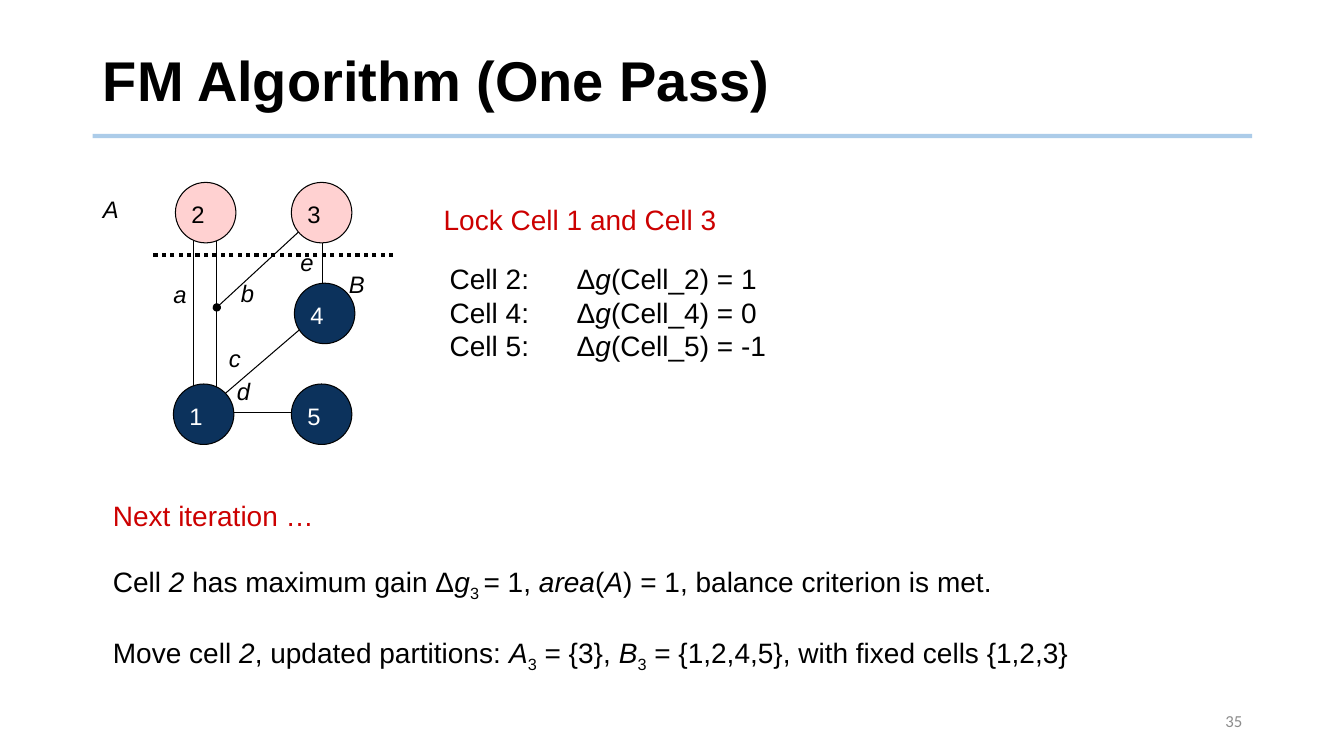
import pptx
import pptx.dml.color
import pptx.enum.dml
import pptx.enum.shapes
import pptx.enum.text
import pptx.oxml
import pptx.oxml.ns
import pptx.util
from dataclasses import dataclass

Inches = pptx.util.Inches
Pt = pptx.util.Pt
Align = pptx.enum.text.PP_ALIGN
Anchor = pptx.enum.text.MSO_ANCHOR
Dash = pptx.enum.dml.MSO_LINE


@dataclass(frozen=True)
class Theme:
    font: str = "Arial"
    number_font: str = "Calibri"
    black: str = "000000"
    white: str = "FFFFFF"
    red: str = "CC0000"
    grey: str = "8C8C8C"
    rule: str = "5B9BD5"
    pink: str = "FFD1D1"
    navy: str = "0C325C"
    title_size: int = 40
    body_size: int = 20
    cell_size: int = 17
    number_size: int = 12


THEME = Theme()
BODY_INSETS = (0.21, 0.05, 0.1, 0.07)
LABEL_INSETS = (0.11, 0.05, 0.11, 0.05)


def rgb(color):
    return pptx.dml.color.RGBColor.from_string(color)


def add_element(parent, tag, **attributes):
    element = pptx.oxml.parse_xml(f"<a:{tag} {pptx.oxml.ns.nsdecls('a')}/>")
    for name, value in attributes.items():
        element.set(name, value)
    parent.append(element)
    return element


def style_font(font, size, color, name=THEME.font, italic=False):
    font.size = Pt(size)
    font.name = name
    font.color.rgb = rgb(color)
    font.italic = italic


def set_frame(frame, insets, anchor):
    frame.word_wrap = True
    frame.vertical_anchor = anchor
    frame.margin_left, frame.margin_top, frame.margin_right, frame.margin_bottom = map(Inches, insets)


def add_text_box(page, box, insets=BODY_INSETS, anchor=Anchor.TOP):
    frame = page.shapes.add_textbox(*map(Inches, box)).text_frame
    set_frame(frame, insets, anchor)
    return frame


def write_spans(para, spans, color=THEME.black):
    for text, style in spans:
        span = para.add_run()
        span.text = text
        style_font(span.font, THEME.body_size, color, italic=style == "italic")
        if style == "sub":
            span.font._element.set("baseline", "-25000")


def add_line(page, start, end, color=THEME.black, width=0.75, dash=None, head=None, alpha=None):
    line = page.shapes.add_connector(
        pptx.enum.shapes.MSO_CONNECTOR.STRAIGHT, *map(Inches, (*start, *end)))
    line.line.width = Pt(width)
    line.line.color.rgb = rgb(color)
    if dash:
        line.line.dash_style = dash
    outline = line.line._ln
    if alpha:
        add_element(outline.find(".//" + pptx.oxml.ns.qn("a:srgbClr")), "alpha", val=alpha)
    if head:
        add_element(outline, "headEnd", type=head)
    add_element(line._element.spPr, "effectLst")


def add_heading(page, box):
    left, top, width, height = box
    title = page.shapes.title
    title.left, title.top, title.width, title.height = map(Inches, box)
    frame = title.text_frame
    frame.text = "FM Algorithm (One Pass)"
    set_frame(frame, (0.1, 0.05, 0.1, 0.05), Anchor.MIDDLE)
    para = frame.paragraphs[0]
    para.alignment = Align.LEFT
    para.line_spacing = 0.9
    style_font(para.runs[0].font, THEME.title_size, THEME.black)
    para.runs[0].font.bold = True
    rule_y = top + height - 0.03
    add_line(page, (left, rule_y), (left + width, rule_y), THEME.rule, 3, alpha="50000")


def add_cell(page, left, top, name, fill, color):
    cell = page.shapes.add_shape(
        pptx.enum.shapes.MSO_SHAPE.OVAL, *map(Inches, (left, top, 0.6, 0.6)))
    cell.shadow.inherit = False
    cell.fill.solid()
    cell.fill.fore_color.rgb = rgb(fill)
    cell.line.color.rgb = rgb(THEME.black)
    cell.line.width = Pt(0.75)
    frame = cell.text_frame
    frame.text = name
    set_frame(frame, (0.07, 0.03, 0, 0), Anchor.MIDDLE)
    frame.paragraphs[0].alignment = Align.LEFT
    style_font(frame.paragraphs[0].runs[0].font, THEME.cell_size, color)


def add_netlist(page, box):
    left, top, width, height = box

    def place(x, y):
        return left + x, top + y

    nets = [
        ((1.25, 1.25), (2.29, 0.29), "oval"),
        ((1.25, 0.45), (1.25, 2.29), None),
        ((2.3, 0.25), (2.3, 1.25), None),
        ((1.02, 0.29), (1.02, 2.13), None),
        ((2.27, 1.3), (1.21, 2.21), None),
        ((1.19, 2.29), (2.39, 2.29), None),
    ]
    for start, end, head in nets:
        add_line(page, place(*start), place(*end), head=head)

    side_a = (THEME.pink, THEME.black)
    side_b = (THEME.navy, THEME.white)
    cells = [
        ("1", 0.82, 2.01, side_b),
        ("2", 0.84, 0.01, side_a),
        ("3", 1.99, 0.01, side_a),
        ("4", 2.02, 1.01, side_b),
        ("5", 1.99, 2.01, side_b),
    ]
    for name, x, y, colors in cells:
        add_cell(page, *place(x, y), name, *colors)

    labels = [
        ("A", 0.01, 0.08), ("B", 2.45, 0.83), ("a", 0.71, 0.93), ("b", 1.38, 0.92),
        ("c", 1.26, 1.56), ("d", 1.34, 1.89), ("e", 1.97, 0.61),
    ]
    for name, x, y in labels:
        frame = add_text_box(page, (*place(x, y), 0.5, 0.4), LABEL_INSETS)
        frame.text = name
        style_font(frame.paragraphs[0].runs[0].font, THEME.cell_size, THEME.black, italic=True)

    add_line(page, place(width, 0.73), place(0.61, 0.73), width=3, dash=Dash.ROUND_DOT)


def add_gains(page, box):
    left, top, width, height = box
    frame = add_text_box(page, (left, top, width, 0.46))
    write_spans(frame.paragraphs[0], [("Lock Cell 1 and Cell 3", "")], THEME.red)

    frame = add_text_box(page, (left + 0.06, top + 0.58, width, height - 0.58), anchor=Anchor.MIDDLE)
    for index, (cell, gain) in enumerate([(2, 1), (4, 0), (5, -1)]):
        para = frame.add_paragraph() if index else frame.paragraphs[0]
        tabs = add_element(para._p.get_or_add_pPr(), "tabLst")
        add_element(tabs, "tab", pos=str(Inches(1.26)), algn="l")
        write_spans(para, [(f"Cell {cell}:\tΔ", ""), ("g", "italic"), (f"(Cell_{cell}) = {gain}", "")])


def add_iteration(page, box):
    lines = [
        (THEME.red, [("Next iteration …", "")]),
        (THEME.black, [
            ("Cell ", ""), ("2", "italic"), (" has maximum gain Δ", ""), ("g", "italic"),
            ("3 ", "sub"), ("= 1, ", ""), ("area", "italic"), ("(", ""), ("A", "italic"),
            (") = 1, balance criterion is met.", "")]),
        (THEME.black, [
            ("Move cell ", ""), ("2", "italic"), (", updated partitions: ", ""),
            ("A", "italic"), ("3", "sub"), (" = {3}, ", ""), ("B", "italic"), ("3", "sub"),
            (" = {1,2,4,5}, with fixed cells {1,2,3}", "")]),
    ]
    frame = add_text_box(page, box, anchor=Anchor.MIDDLE)
    for index, (color, spans) in enumerate(lines):
        para = frame.add_paragraph() if index else frame.paragraphs[0]
        if index:
            para.space_before = Pt(23)
        write_spans(para, spans, color)


def add_page_number(page, box):
    frame = add_text_box(page, box, (0.1, 0.05, 0.1, 0.05), Anchor.MIDDLE)
    frame.text = "35"
    para = frame.paragraphs[0]
    para.alignment = Align.RIGHT
    style_font(para.runs[0].font, THEME.number_size, THEME.grey, THEME.number_font)


def main():
    deck = pptx.Presentation()
    deck.slide_width = Inches(13.33)
    deck.slide_height = Inches(7.5)
    page = deck.slides.add_slide(deck.slide_layouts.get_by_name("Title Only"))
    add_heading(page, (0.92, 0.28, 11.5, 1.1))
    add_netlist(page, (0.9, 1.8, 3, 2.6))
    add_gains(page, (4.19, 1.96, 4.08, 1.71))
    add_iteration(page, (0.91, 4.92, 11.5, 1.81))
    add_page_number(page, (9.42, 6.95, 3, 0.4))
    deck.save("out.pptx")


if __name__ == "__main__":
    main()
